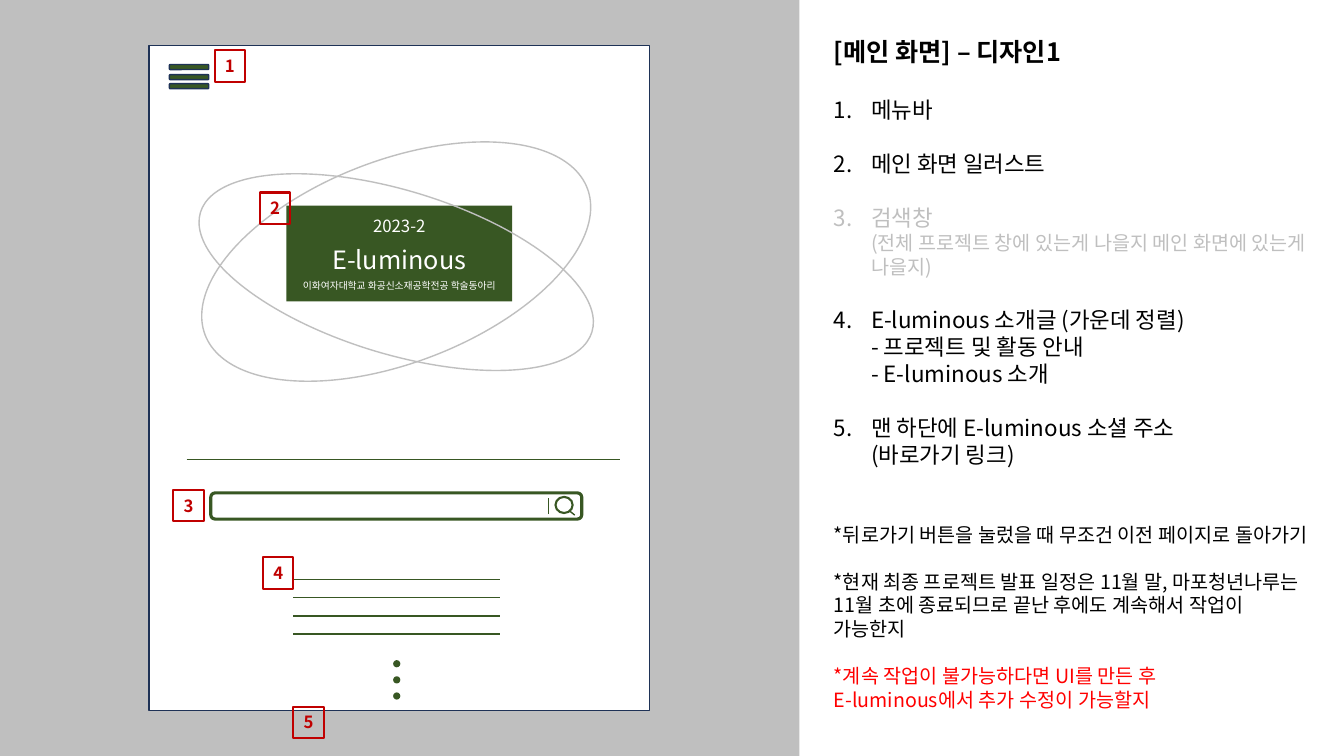
from lxml.etree import SubElement
from pptx import Presentation
from pptx.dml.color import RGBColor
from pptx.enum.shapes import MSO_CONNECTOR, MSO_SHAPE
from pptx.enum.text import MSO_ANCHOR, PP_ALIGN
from pptx.oxml.ns import qn
from pptx.util import Pt

PX = 9144
WHITE = RGBColor(0xFF, 0xFF, 0xFF)
BLACK = RGBColor(0x00, 0x00, 0x00)
GRAY = RGBColor(0xBF, 0xBF, 0xBF)
NAVY = RGBColor(0x1E, 0x32, 0x56)
GREEN = RGBColor(0x38, 0x57, 0x23)
CRIMSON = RGBColor(0xC0, 0x00, 0x00)
RED = RGBColor(0xFF, 0x00, 0x00)
KR = "Noto Sans CJK KR"
SC = "Noto Sans CJK SC"
BAR = MSO_SHAPE.FLOWCHART_ALTERNATE_PROCESS
FRAME = dict(word_wrap=True, margin_left=0, margin_right=0, margin_top=0, margin_bottom=0)


def apply(item, values):
    """Set each named attribute of an item."""
    for name, value in values.items():
        setattr(item, name, value)


def draw(slide, kind, box, fill=None, line=None, width=1, turn=0):
    """Draw one preset shape in a box of px."""
    shape = slide.shapes.add_shape(kind, *(n * PX for n in box))
    shape.shadow.inherit = False
    shape.rotation = turn
    if fill is None:
        shape.fill.background()
    else:
        shape.fill.solid()
        shape.fill.fore_color.rgb = fill
    if line is None:
        shape.line.fill.background()
    else:
        shape.line.color.rgb = line
        shape.line.width = Pt(width)
    return shape


def rule(slide, start, end):
    """Draw a thin green line between two points."""
    line = slide.shapes.add_connector(MSO_CONNECTOR.STRAIGHT, *(n * PX for n in start + end))
    line.line.color.rgb = GREEN
    line.line.width = Pt(1)
    SubElement(line._element.spPr, qn("a:effectLst"))


def write(para, text, size, color, face, bold=False):
    """Add a run, with line breaks where the text has them."""
    for index, part in enumerate(text.split("\n")):
        if index:
            para.add_line_break()
        if not part:
            continue
        run = para.add_run()
        run.text = part
        apply(run.font, dict(name=face, size=Pt(size), bold=bold))
        run.font.color.rgb = color
        SubElement(run.font._element, qn("a:ea"), typeface=face)


def lay(para, pitch, before=0, align=PP_ALIGN.LEFT):
    """Set the line pitch, space before and alignment of a paragraph."""
    apply(para, dict(line_spacing=Pt(pitch), space_before=Pt(before), alignment=align))


def number(para):
    """Number a paragraph with a hanging indent."""
    props = para._p.get_or_add_pPr()
    props.set("marL", str(37 * PX))
    props.set("indent", str(-37 * PX))
    SubElement(props, qn("a:buFont"), typeface="+mj-lt")
    SubElement(props, qn("a:buAutoNum"), type="arabicPeriod")


def paras(frame, count):
    """Return the given number of paragraphs of a frame."""
    return [frame.paragraphs[0]] + [frame.add_paragraph() for _ in range(count - 1)]


def banner(slide, box):
    """Draw the green name plate between two tilted rings."""
    left, top, wide, high = box
    draw(slide, MSO_SHAPE.OVAL, box, line=GRAY, turn=339)
    plate = draw(slide, MSO_SHAPE.RECTANGLE, (left + 94, top + 45, 224, 95), GREEN)
    frame = plate.text_frame
    apply(frame, dict(FRAME, vertical_anchor=MSO_ANCHOR.MIDDLE))
    rows = [("2023-2", 12, 14.5, 0), ("E-luminous", 18, 21.6, 6),
            ("이화여자대학교 화공신소재공학전공 학술동아리", 7, 8.4, 4)]
    for para, (text, size, pitch, before) in zip(paras(frame, len(rows)), rows):
        lay(para, pitch, before, PP_ALIGN.CENTER)
        write(para, text, size, WHITE, KR)
    draw(slide, MSO_SHAPE.OVAL, (left, top + 30, wide, 162), line=GRAY, turn=17)


def search(slide, box):
    """Draw the search bar with its caret and lens."""
    left, top, wide, high = box
    right = left + wide
    draw(slide, BAR, box, line=GREEN, width=2.25)
    rule(slide, (right - 33, top + 21), (right - 33, top + 5))
    draw(slide, MSO_SHAPE.OVAL, (right - 26, top + 4, 17, 16), line=GREEN, width=1.5)
    rule(slide, (right - 7, top + 22), (right - 12, top + 18))


def intro(slide, box):
    """Draw the text lines and the dots below them."""
    left, top, wide, high = box
    for row in range(4):
        y = top + 18 * row
        rule(slide, (left, y), (left + wide, y))
    for row in range(3):
        draw(slide, MSO_SHAPE.OVAL, (left + 100, top + 81 + 16 * row, 5, 5), GREEN, GREEN, 1.5)


def badge(slide, box, label):
    """Draw a numbered red marker."""
    shape = draw(slide, MSO_SHAPE.RECTANGLE, box, line=CRIMSON, width=1.5)
    frame = shape.text_frame
    apply(frame, dict(FRAME, vertical_anchor=MSO_ANCHOR.MIDDLE))
    frame.paragraphs[0].alignment = PP_ALIGN.CENTER
    write(frame.paragraphs[0], label, 12, CRIMSON, SC, True)


def mockup(slide, box):
    """Draw the page sketch on its gray ground."""
    left, top, wide, high = box
    draw(slide, MSO_SHAPE.RECTANGLE, box, GRAY)
    draw(slide, MSO_SHAPE.RECTANGLE, (left + 148, top + 45, 496, 660), WHITE, NAVY)
    for row in range(3):
        draw(slide, BAR, (left + 168, top + 64 + round(9.5 * row), 39, 5), GREEN, NAVY)
    banner(slide, (left + 190, top + 159, 406, 201))
    rule(slide, (left + 185, top + 456), (left + 615, top + 456))
    search(slide, (left + 209, top + 489, 368, 26))
    intro(slide, (left + 291, top + 575, 205, 117))
    spots = [(213, 50), (258, 191), (172, 486), (261, 553), (291, 701)]
    for index, (x, y) in enumerate(spots, 1):
        badge(slide, (left + x, top + y, 30, 31), str(index))


def notes(slide, box):
    """Write the title, the numbered list and the remarks."""
    left, top, wide, high = box
    title = slide.shapes.title
    apply(title, dict(left=left * PX, top=top * PX, width=wide * PX, height=31 * PX))
    apply(title.text_frame, dict(FRAME, vertical_anchor=MSO_ANCHOR.TOP))
    head = title.text_frame.paragraphs[0]
    lay(head, 22)
    write(head, "[메인 화면] – 디자인1", 18, BLACK, SC, True)

    body = slide.shapes.add_textbox(left * PX, (top + 60) * PX, wide * PX, (high - 60) * PX)
    apply(body.text_frame, FRAME)
    items = [
        ("메뉴바", "", BLACK, 19.3, 0),
        ("메인 화면 일러스트", "", BLACK, 19.3, 19.3),
        ("검색창", "\n(전체 프로젝트 창에 있는게 나을지 메인 화면에 있는게 나을지)", GRAY, 16.8, 21.8),
        ("E-luminous 소개글 (가운데 정렬)\n- 프로젝트 및 활동 안내\n- E-luminous 소개", "", BLACK, 19.3, 20),
        ("맨 하단에 E-luminous 소셜 주소\n(바로가기 링크)", "", BLACK, 19.3, 19.3),
        ("", "*뒤로가기 버튼을 눌렀을 때 무조건 이전 페이지로 돌아가기", BLACK, 16.8, 39),
        ("", "*현재 최종 프로젝트 발표 일정은 11월 말, 마포청년나루는 11월 초에 종료되므로 "
             "끝난 후에도 계속해서 작업이 가능한지", BLACK, 16.8, 16.8),
        ("", "*계속 작업이 불가능하다면 UI를 만든 후\nE-luminous에서 추가 수정이 가능할지", RED, 16.8, 16.8),
    ]
    for para, (text, small, color, pitch, before) in zip(paras(body.text_frame, len(items)), items):
        lay(para, pitch, before)
        if text:
            number(para)
        write(para, text, 16, color, SC)
        write(para, small, 14, color, SC)


def main():
    """Build the slide and save it."""
    deck = Presentation()
    apply(deck, dict(slide_width=1333 * PX, slide_height=750 * PX))
    slide = deck.slides.add_slide(deck.slide_layouts[5])
    mockup(slide, (0, 0, 793, 750))
    notes(slide, (827, 35, 473, 691))
    deck.save("out.pptx")


if __name__ == "__main__":
    main()
